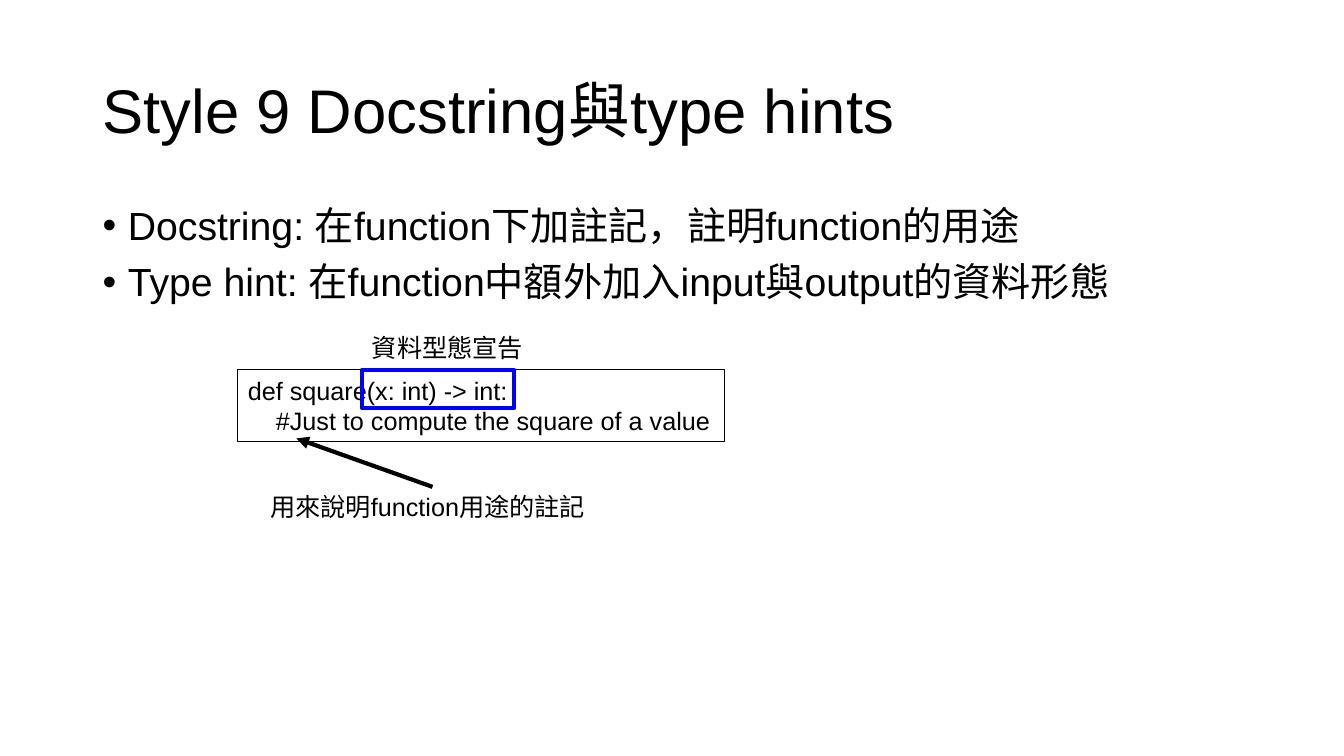
import pptx
import pptx.util
import pptx.dml.color
import pptx.enum.shapes
import pptx.enum.text
import pptx.oxml
import pptx.oxml.ns
from pptx.util import Inches

BLACK = "000000"
BLUE = "0000FF"


def color(code):
    """Turn a hex string into a colour."""
    return pptx.dml.color.RGBColor.from_string(code)


def add_tag(parent, tag, **attrs):
    """Append a drawing element with the given attributes."""
    node = pptx.oxml.parse_xml(f"<a:{tag} {pptx.oxml.ns.nsdecls('a')}/>")
    for key, value in attrs.items():
        node.set(key, value)
    parent.append(node)


def write(frame, lines, size, bullet=False, spacing=None):
    """Fill a text frame with left-aligned paragraphs."""
    for i, line in enumerate(lines):
        para = frame.paragraphs[0] if i == 0 else frame.add_paragraph()
        para.text = line
        para.alignment = pptx.enum.text.PP_ALIGN.LEFT
        if spacing:
            para.line_spacing = spacing
        if bullet:
            if i:
                para.space_before = pptx.util.Pt(10)
            props = para._p.get_or_add_pPr()
            props.set("marL", str(Inches(0.25)))
            props.set("indent", str(Inches(-0.25)))
            add_tag(props, "buFont", typeface="Arial")
            add_tag(props, "buChar", char="•")
        para.font.name = "Arial"
        para.font.size = pptx.util.Pt(size)
        para.font.color.rgb = color(BLACK)


def add_text(slide, box, lines, size, wrap=True, middle=False, **style):
    """Add a text box."""
    frame = slide.shapes.add_textbox(*map(Inches, box)).text_frame
    frame.word_wrap = wrap
    if middle:
        frame.vertical_anchor = pptx.enum.text.MSO_ANCHOR.MIDDLE
    write(frame, lines, size, **style)


def add_frame(slide, box, code, width):
    """Add an unfilled outlined rectangle and return it."""
    kind = pptx.enum.shapes.MSO_SHAPE.RECTANGLE
    shape = slide.shapes.add_shape(kind, *map(Inches, box))
    shape.shadow.inherit = False
    shape.fill.background()
    shape.line.color.rgb = color(code)
    shape.line.width = pptx.util.Pt(width)
    return shape


def add_arrow(slide, start, end):
    """Add a thick black arrow."""
    kind = pptx.enum.shapes.MSO_CONNECTOR.STRAIGHT
    arrow = slide.shapes.add_connector(kind, *map(Inches, start + end))
    arrow.line.color.rgb = color(BLACK)
    arrow.line.width = pptx.util.Pt(3)
    add_tag(arrow.line._get_or_add_ln(), "tailEnd", type="triangle")
    add_tag(arrow._element.spPr, "effectLst")


def main():
    """Build the slide and save it."""
    deck = pptx.Presentation()
    deck.slide_width = Inches(13.33)
    deck.slide_height = Inches(7.5)
    slide = deck.slides.add_slide(deck.slide_layouts[6])

    add_text(slide, (0.92, 0.4, 11.5, 1.45), ["Style 9 Docstring與type hints"],
             44, middle=True, spacing=0.9)
    add_text(slide, (0.92, 2, 11.5, 4.76), [
        "Docstring: 在function下加註記，註明function的用途",
        "Type hint: 在function中額外加入input與output的資料形態",
    ], 28, bullet=True, spacing=0.9)

    code = add_frame(slide, (2.36, 3.67, 4.83, 0.71), BLACK, 0.75)
    code.text_frame.word_wrap = True
    code.text_frame.vertical_anchor = pptx.enum.text.MSO_ANCHOR.TOP
    write(code.text_frame, [
        "def square(x: int) -> int:",
        "    #Just to compute the square of a value",
    ], 18)
    add_frame(slide, (3.59, 3.67, 1.51, 0.38), BLUE, 3)

    add_text(slide, (3.59, 3.25, 1.72, 0.4), ["資料型態宣告"], 18, wrap=False)
    add_arrow(slide, (4.29, 4.83), (2.94, 4.35))
    add_text(slide, (2.58, 4.83, 3.41, 0.4), ["用來說明function用途的註記"], 18)
    deck.save("out.pptx")


if __name__ == "__main__":
    main()
